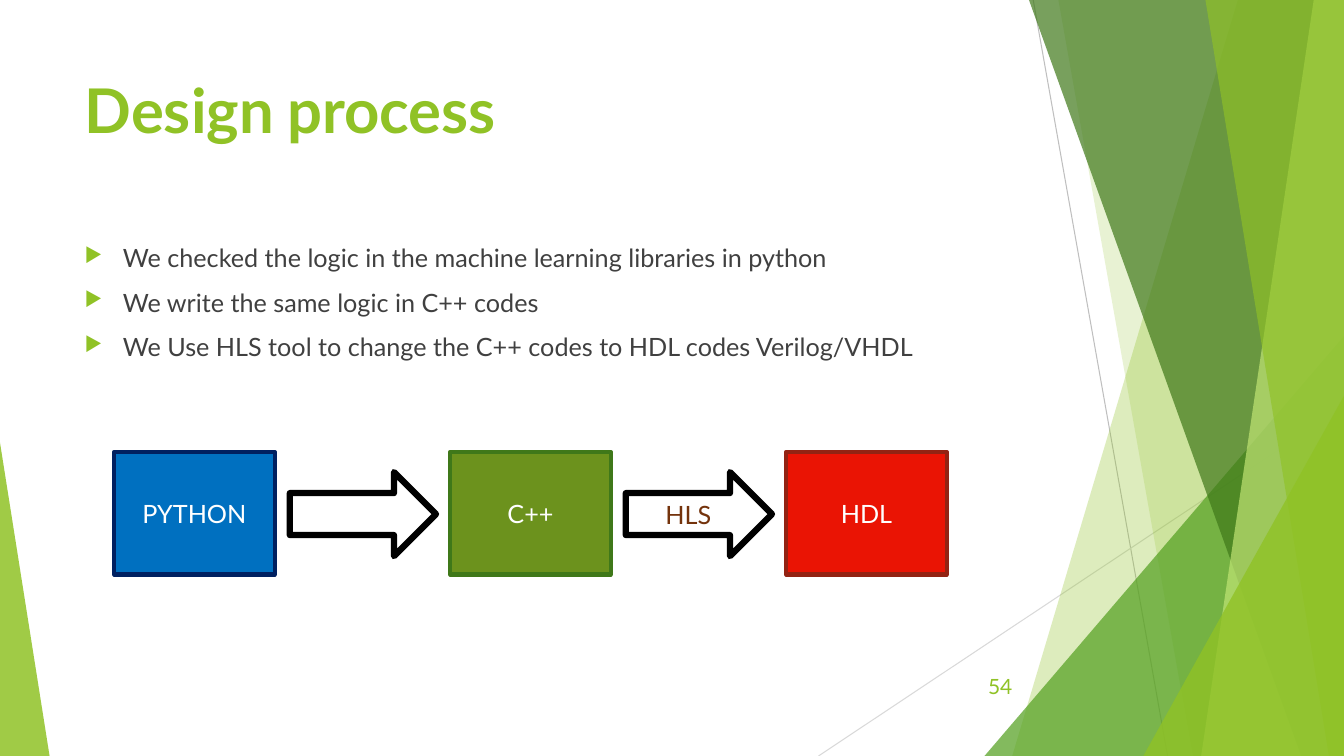
from lxml.etree import SubElement
from pptx import Presentation
from pptx.dml.color import RGBColor
from pptx.enum.shapes import MSO_CONNECTOR, MSO_SHAPE
from pptx.enum.text import MSO_ANCHOR, PP_ALIGN
from pptx.oxml.ns import qn
from pptx.util import Inches, Pt

THEME = {
    "font": "Lato",
    "lime": "90C226", "pale": "C0E474", "green": "54A021", "forest": "3F7819",
    "text": "404040", "white": "FFFFFF", "black": "000000", "rust": "74330C",
    "title": 44, "gap": 36, "body": 18, "number": 15,
}

deck = Presentation()
deck.slide_width, deck.slide_height = Inches(13.333), Inches(7.5)
slide = deck.slides.add_slide(deck.slide_layouts[6])

# Grid of square cells
COLUMNS, ROWS = 160, 90
CELL = deck.slide_height / ROWS


def cells(*counts):
    return [round(count * CELL) for count in counts]


def write(paragraph, words, size, color, bold=False):
    run = paragraph.add_run()
    run.text = words
    formats = {"name": THEME["font"], "size": Pt(size), "bold": bold}
    for attribute, value in formats.items():
        setattr(run.font, attribute, value)
    run.font.color.rgb = RGBColor.from_string(color)


# Thin background lines
for ends, color in (((123, 0, 139, ROWS), "BFBFBF"),
                    ((COLUMNS, 48.36, 97.44, ROWS), "D9D9D9")):
    ray = slide.shapes.add_connector(MSO_CONNECTOR.STRAIGHT, *cells(*ends))
    ray.line.color.rgb = RGBColor.from_string(color)
    ray.line.width = Pt(0.75)
    SubElement(ray._element.spPr, qn("a:effectLst"))

# Translucent facets: a band is (top x, bottom x) and runs to the right edge,
# a triangle is (left, top, right, apex share) and stands on the bottom edge
facets = (
    ((147.36, 120.5), "lime", 30),
    ((126, 142), "lime", 20),
    ((117.2, 40, COLUMNS, 1), "green", 72),
    ((122.5, 154.9), "forest", 70),
    ((156.4, 143), "pale", 70),
    ((143.5, 158.2), "lime", 65),
    ((136.1, 47.1, COLUMNS, 1), "lime", 80),
    ((0, 52.7, 5.9, 0), "lime", 85),
)
for outline, color, opacity in facets:
    if len(outline) == 2:
        top_x, bottom_x = outline
        corners = [cells(*corner) for corner in
                   ((COLUMNS, 0), (COLUMNS, ROWS), (bottom_x, ROWS))]
        band = slide.shapes.build_freeform(*cells(top_x, 0))
        band.add_line_segments(corners, close=True)
        facet = band.convert_to_shape()
    else:
        left, top, right, apex = outline
        facet = slide.shapes.add_shape(
            MSO_SHAPE.ISOSCELES_TRIANGLE,
            *cells(left, top, right - left, ROWS - top))
        facet.adjustments[0] = apex
    facet.shadow.inherit = False
    facet.line.fill.background()
    facet.fill.solid()
    facet.fill.fore_color.rgb = RGBColor.from_string(THEME[color])
    tint = facet._element.spPr.find(".//" + qn("a:srgbClr"))
    SubElement(tint, qn("a:alpha"), val=str(opacity * 1000))

# Title
heading = slide.shapes.add_textbox(*cells(8.9, 8, 112.8, 17.3)).text_frame
heading.word_wrap = True
for words, size, bold in (("Design", THEME["title"], True),
                          (" ", THEME["gap"], False),
                          ("process", THEME["title"], True)):
    write(heading.paragraphs[0], words, size, THEME["lime"], bold)

# Bulleted steps
steps = slide.shapes.add_textbox(*cells(8.9, 28.3, 112.8, 21)).text_frame
steps.word_wrap = True
for index, words in enumerate((
        "We checked the logic in the machine learning libraries in python",
        "We write the same logic in C++ codes",
        "We Use HLS tool to change the C++ codes to HDL codes Verilog/VHDL")):
    step = steps.add_paragraph() if index else steps.paragraphs[0]
    properties = step._p.get_or_add_pPr()
    properties.set("marL", str(Inches(0.38)))
    properties.set("indent", str(-Inches(0.38)))
    bullet_color = SubElement(properties, qn("a:buClr"))
    SubElement(bullet_color, qn("a:srgbClr"), val=THEME["lime"])
    SubElement(properties, qn("a:buSzPct"), val="80000")
    SubElement(properties, qn("a:buChar"), char="▶")
    step.space_before = Pt(10 if index else 0)
    write(step, words, THEME["body"], THEME["text"])

# Slide number
number = slide.shapes.add_textbox(*cells(112.7, 79.3, 9, 4.8)).text_frame
number.word_wrap = True
number.vertical_anchor = MSO_ANCHOR.MIDDLE
number.paragraphs[0].alignment = PP_ALIGN.RIGHT
write(number.paragraphs[0], "54", THEME["number"], THEME["lime"])

# Flow of languages: stages and arrows alternate, each on the same pitch
PITCH = 40
STAGE = (MSO_SHAPE.RECTANGLE, 13.6, 53.8, 19.1, 14.6, 3)
ARROW = (MSO_SHAPE.RIGHT_ARROW, 34.5, 56.2, 17.4, 10, 4.5)
flow = (
    (STAGE, 0, "PYTHON", "0070C0", "002060", THEME["white"]),
    (ARROW, 0, "", THEME["white"], THEME["black"], THEME["rust"]),
    (STAGE, 1, "C++", "6C921D", THEME["forest"], THEME["white"]),
    (ARROW, 1, "HLS", THEME["white"], THEME["black"], THEME["rust"]),
    (STAGE, 2, "HDL", "EA1404", "932313", THEME["white"]),
)
for kind, position, label, fill, edge, ink in flow:
    preset, left, top, width, height, weight = kind
    part = slide.shapes.add_shape(
        preset, *cells(left + position * PITCH, top, width, height))
    part.shadow.inherit = False
    part.fill.solid()
    part.fill.fore_color.rgb = RGBColor.from_string(fill)
    part.line.color.rgb = RGBColor.from_string(edge)
    part.line.width = Pt(weight)
    if label:
        part.text_frame.vertical_anchor = MSO_ANCHOR.MIDDLE
        part.text_frame.paragraphs[0].alignment = PP_ALIGN.CENTER
        write(part.text_frame.paragraphs[0], label, THEME["body"], ink)

deck.save("out.pptx")
